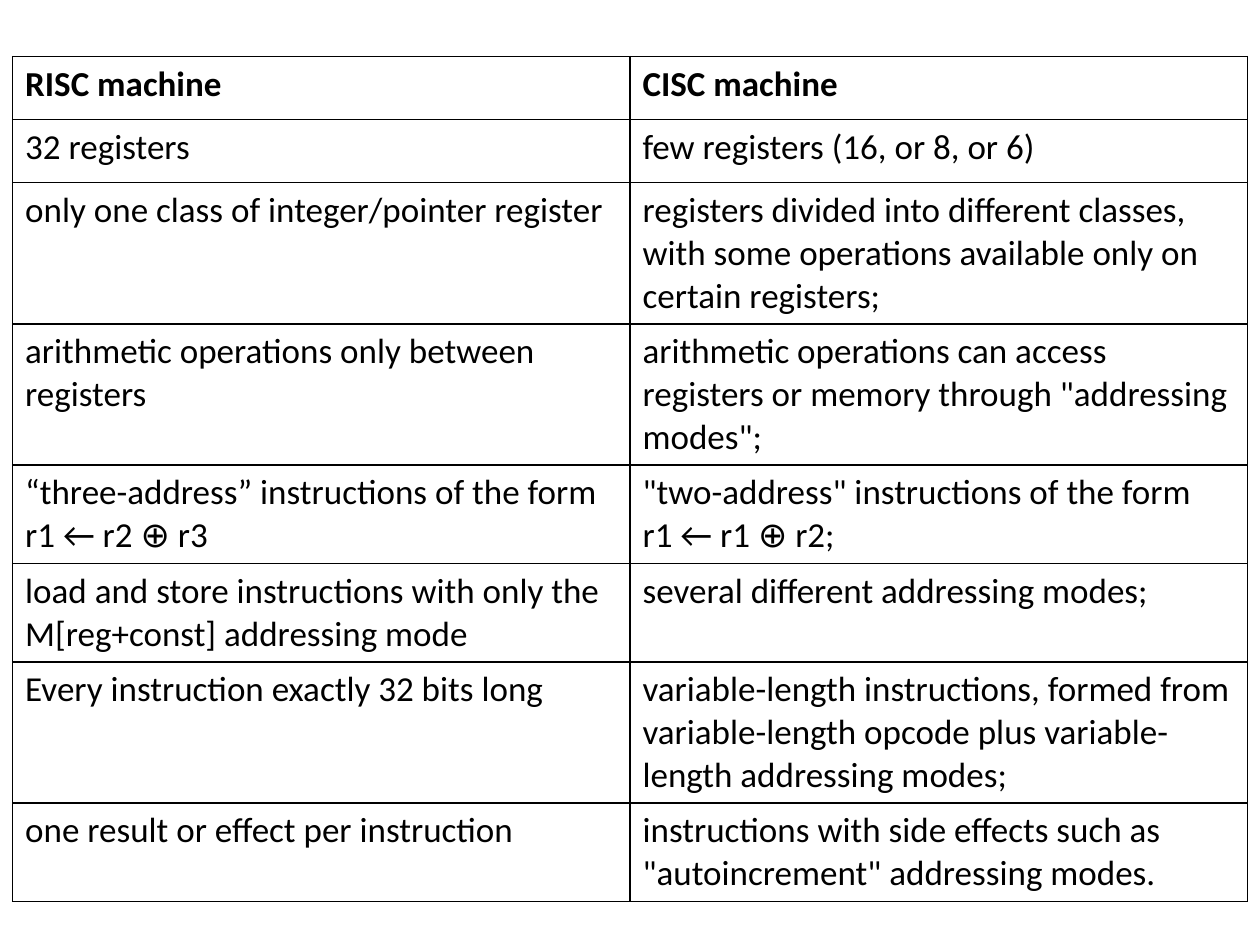
from dataclasses import dataclass

from lxml.etree import SubElement
from pptx import Presentation
from pptx.dml.color import RGBColor
from pptx.oxml.ns import qn
from pptx.util import Emu, Pt

PX = 9144


@dataclass(frozen=True)
class Theme:
    font: str = "Calibri"
    size: int = 20
    ink: str = "000000"
    paper: str = "FFFFFF"
    border: int = 1


theme = Theme()


def px(count):
    return Emu(count * PX)


def add_borders(cell):
    properties = cell._tc.get_or_add_tcPr()
    for position, side in enumerate(("lnL", "lnR", "lnT", "lnB")):
        line = SubElement(properties, qn(f"a:{side}"), w=str(Pt(theme.border)))
        fill = SubElement(line, qn("a:solidFill"))
        SubElement(fill, qn("a:srgbClr"), val=theme.ink)
        properties.remove(line)
        properties.insert(position, line)


comparison = [
    ("RISC machine", "CISC machine"),
    ("32 registers", "few registers (16, or 8, or 6)"),
    (
        "only one class of integer/pointer register",
        "registers divided into different classes, with some operations "
        "available only on certain registers;",
    ),
    (
        "arithmetic operations only between registers",
        'arithmetic operations can access registers or memory through "addressing modes";',
    ),
    (
        "“three-address” instructions of the form r1 ← r2 ⊕ r3",
        '"two-address" instructions of the form\nr1 ← r1 ⊕ r2;',
    ),
    (
        "load and store instructions with only the M[reg+const] addressing mode",
        "several different addressing modes;",
    ),
    (
        "Every instruction exactly 32 bits long",
        "variable-length instructions, formed from variable-length opcode "
        "plus variable-length addressing modes;",
    ),
    (
        "one result or effect per instruction",
        'instructions with side effects such as "autoincrement" addressing modes.',
    ),
]

deck = Presentation()
deck.slide_width = px(1000)
deck.slide_height = px(750)
page = deck.slides.add_slide(deck.slide_layouts[6])
page.background.fill.solid()
page.background.fill.fore_color.rgb = RGBColor.from_string(theme.paper)

row_height = 50
frame = page.shapes.add_table(
    len(comparison), 2, px(10), px(45), px(980), px(row_height * len(comparison))
)
frame.height = px(660)
table = frame.table
table.horz_banding = False
table.first_row = False

for row, entries in enumerate(comparison):
    for column, entry in enumerate(entries):
        cell = table.cell(row, column)
        cell.fill.background()
        add_borders(cell)
        for index, text in enumerate(entry.split("\n")):
            box = cell.text_frame
            para = box.add_paragraph() if index else box.paragraphs[0]
            span = para.add_run()
            span.text = text
            span.font.name = theme.font
            span.font.size = Pt(theme.size)
            span.font.bold = row == 0
            span.font.color.rgb = RGBColor.from_string(theme.ink)

deck.save("out.pptx")
